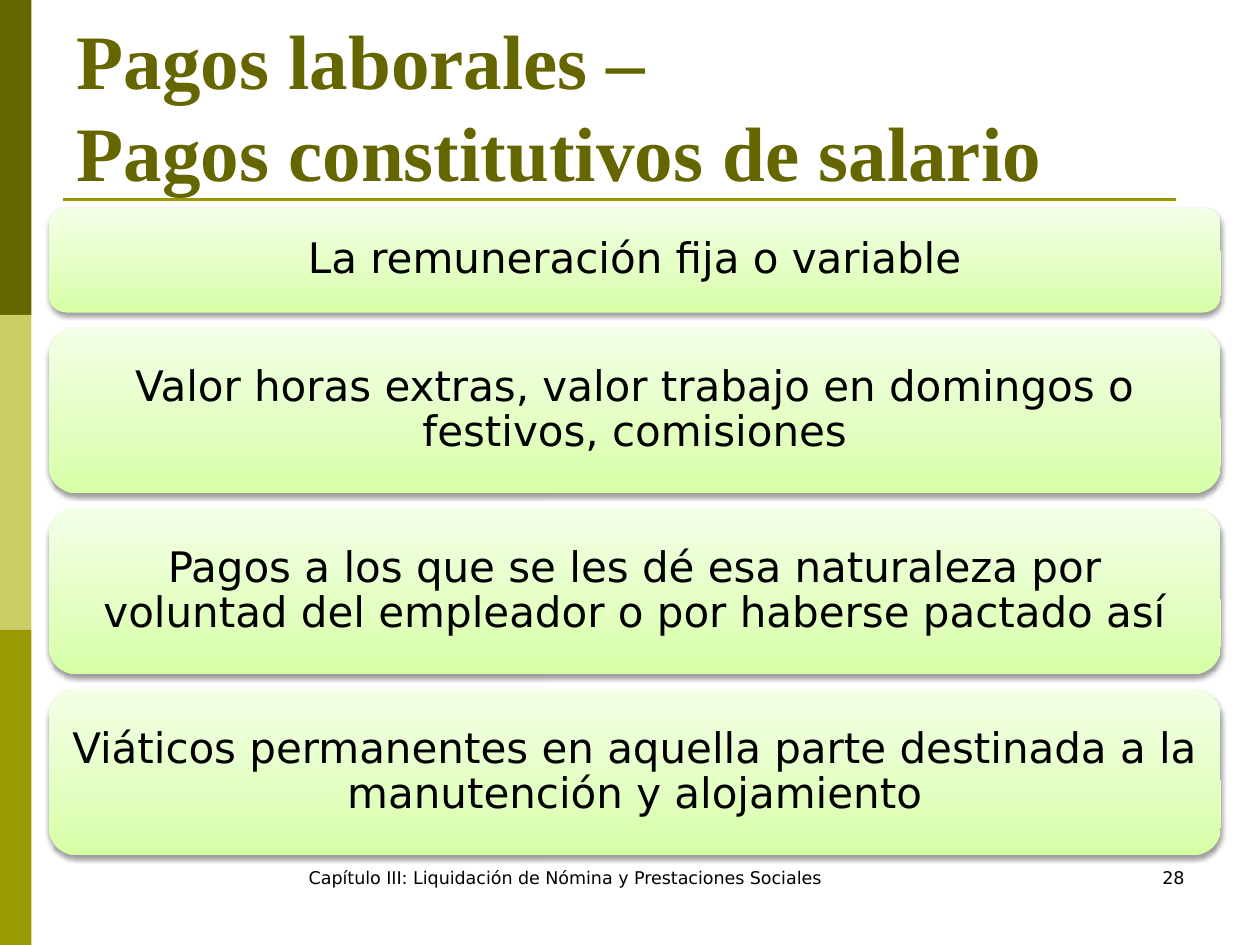
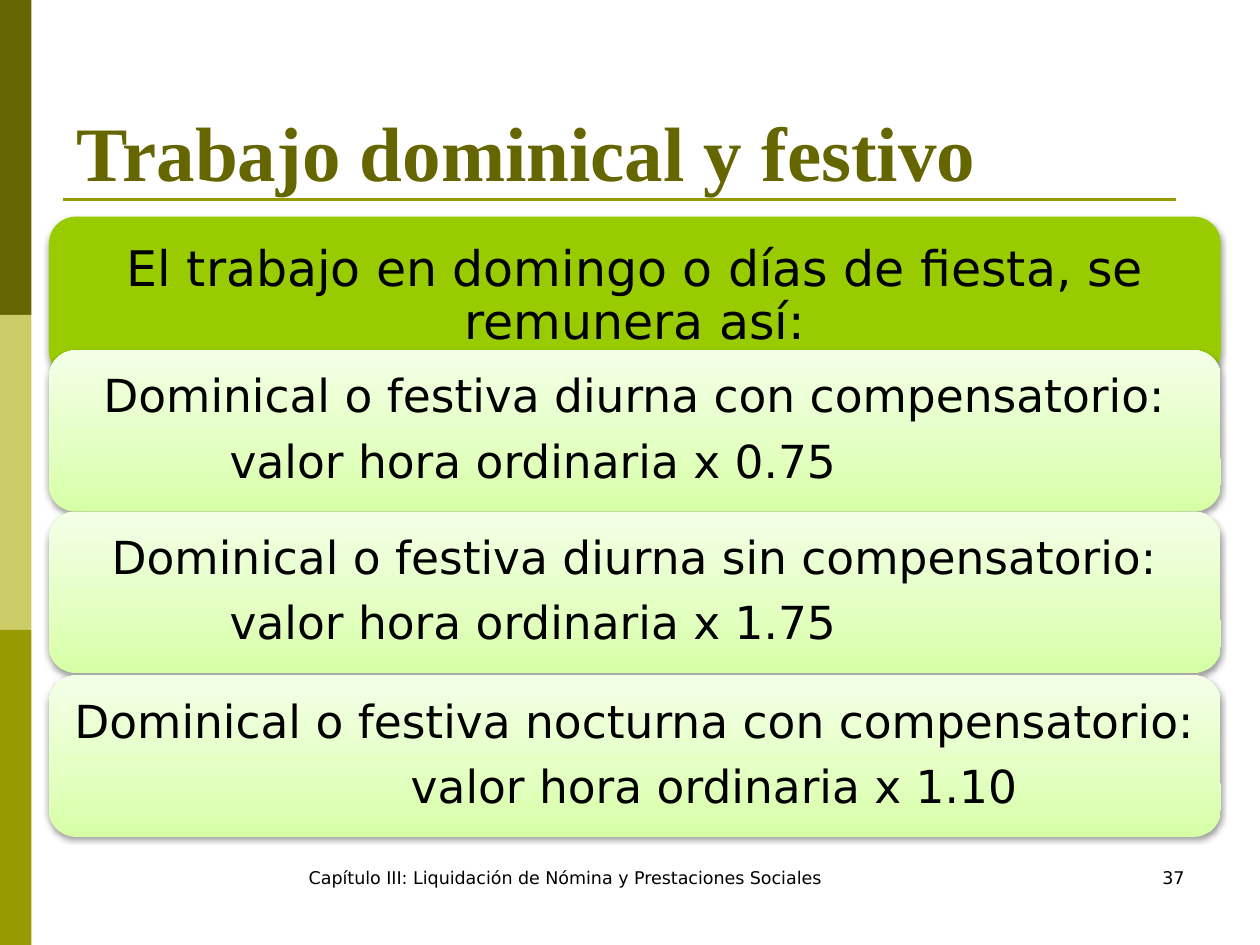
"""Build two payroll slides with stacked rounded cards."""
import copy
import lxml.etree
import pptx
import pptx.util
import pptx.dml.color
import pptx.enum.shapes
import pptx.enum.text
import pptx.oxml.ns

Pt = pptx.util.Pt
qn = pptx.oxml.ns.qn
Shape = pptx.enum.shapes.MSO_SHAPE
Align = pptx.enum.text.PP_ALIGN
Anchor = pptx.enum.text.MSO_ANCHOR

DARK, PALE, OLIVE, LIME, BLACK = "666600", "CCCC66", "999900", "99CC00", "000000"
GLOW = [(0, "D6FFA5"), (0.35, "E2FFBF"), (1, "F3FFE7")]
SANS, SERIF = "DejaVu Sans", "Times New Roman"
FOOT = "Capítulo III: Liquidación de Nómina y Prestaciones Sociales"
INDENT = 91


def tint(code):
    return pptx.dml.color.RGBColor.from_string(code)


def write(shape, lines, size, align, face=SANS, color=BLACK, bold=False,
          anchor=Anchor.TOP, inset=None, space=None):
    frame = shape.text_frame
    frame.word_wrap = True
    frame.vertical_anchor = anchor
    if inset:
        for side in ("left", "top", "right", "bottom"):
            setattr(frame, "margin_" + side, Pt(inset))
    for i, (line, side) in enumerate(zip(lines, align)):
        para = frame.add_paragraph() if i else frame.paragraphs[0]
        para.text = line
        para.alignment = side
        if space:
            para.line_spacing = space
        if i:
            para.space_before = Pt(9.5)
            para._p.get_or_add_pPr().set("marL", str(Pt(INDENT)))
        font = para.runs[0].font
        for run in para.runs:
            for key, val in {"name": face, "size": Pt(size), "bold": bold}.items():
                setattr(run.font, key, val)
            run.font.color.rgb = tint(color)


MID, LEFT = Align.CENTER, Align.LEFT
first, tall, gap = 59.8, 95, 8.4
start = 118.8
tops = [start] + [start + first + gap + i * (tall + gap) for i in range(3)]
pay = [
    "La remuneración fija o variable",
    "Valor horas extras, valor trabajo en domingos o festivos, comisiones",
    "Pagos a los que se les dé esa naturaleza por voluntad del empleador "
    "o por haberse pactado así",
    "Viáticos permanentes en aquella parte destinada a la manutención y alojamiento",
]
rates = [
    (200.2, "diurna con", "0.75", LEFT),
    (292.4, "diurna sin", "1.75", LEFT),
    (386, "nocturna con", "1.10", MID),
]
wage = [(top, tall if i else first, None, 24, 7.2, [text], [MID])
        for i, (top, text) in enumerate(zip(tops, pay))]
rest = [(123.8, 92.2, LIME, 28, 8.4,
         ["El trabajo en domingo o días de fiesta, se remunera así:"], [MID])]
for top, kind, rate, side in rates:
    lines = [f"Dominical o festiva {kind} compensatorio:",
             f"valor hora ordinaria x {rate}"]
    rest.append((top, 92.2, None, 26, 7.8, lines, [MID, side]))

pages = [
    ("Pagos laborales – \vPagos constitutivos de salario", "28", wage),
    ("Trabajo dominical y festivo", "37", rest),
]

deck = pptx.Presentation()
deck.slide_width, deck.slide_height = Pt(720), Pt(540)

for title, number, cards in pages:
    slide = deck.slides.add_slide(deck.slide_layouts[6])
    shapes = slide.shapes

    for i, color in enumerate((DARK, PALE, OLIVE)):
        band = shapes.add_shape(Shape.RECTANGLE, 0, Pt(180 * i), Pt(18), Pt(180))
        band.shadow.inherit = False
        band.fill.solid()
        band.fill.fore_color.rgb = tint(color)
        band.line.fill.background()

    rule = shapes.add_connector(pptx.enum.shapes.MSO_CONNECTOR.STRAIGHT,
                                Pt(36), Pt(114), Pt(672), Pt(114))
    rule.line.color.rgb = tint(OLIVE)
    rule.line.width = Pt(1.5)
    lxml.etree.SubElement(rule._element.spPr, qn("a:effectLst"))

    head = shapes.add_textbox(Pt(36.8), Pt(26), Pt(648), Pt(90))
    write(head, [title], 44, [LEFT], SERIF, DARK, True, Anchor.BOTTOM)

    for top, high, color, size, inset, lines, align in cards:
        card = shapes.add_shape(Shape.ROUNDED_RECTANGLE,
                                Pt(28), Pt(top), Pt(669.6), Pt(high))
        card.line.fill.background()
        if color:
            card.fill.solid()
            card.fill.fore_color.rgb = tint(color)
        else:
            card.fill.gradient()
            card.fill.gradient_angle = 90
            stop = card._element.spPr.find(".//" + qn("a:gs"))
            stop.addnext(copy.deepcopy(stop))
            for mark, (place, shade) in zip(card.fill.gradient_stops, GLOW):
                mark.position = place
                mark.color.rgb = tint(shade)
        card.shadow.inherit = False
        effect = card._element.spPr.find(qn("a:effectLst"))
        shade = lxml.etree.SubElement(
            effect, qn("a:outerShdw"), blurRad=str(Pt(3.1)), dist=str(Pt(1.6)),
            dir="5400000", rotWithShape="0")
        ink = lxml.etree.SubElement(shade, qn("a:srgbClr"), val=BLACK)
        lxml.etree.SubElement(ink, qn("a:alpha"), val="38000")
        write(card, lines, size, align, anchor=Anchor.MIDDLE, inset=inset, space=0.9)

    for left, wide, text, side in ((134.6, 376.6, FOOT, MID),
                                   (516.2, 167.8, number, Align.RIGHT)):
        foot = shapes.add_textbox(Pt(left), Pt(491.8), Pt(wide), Pt(36))
        write(foot, [text], 10, [side])

deck.save("out.pptx")
